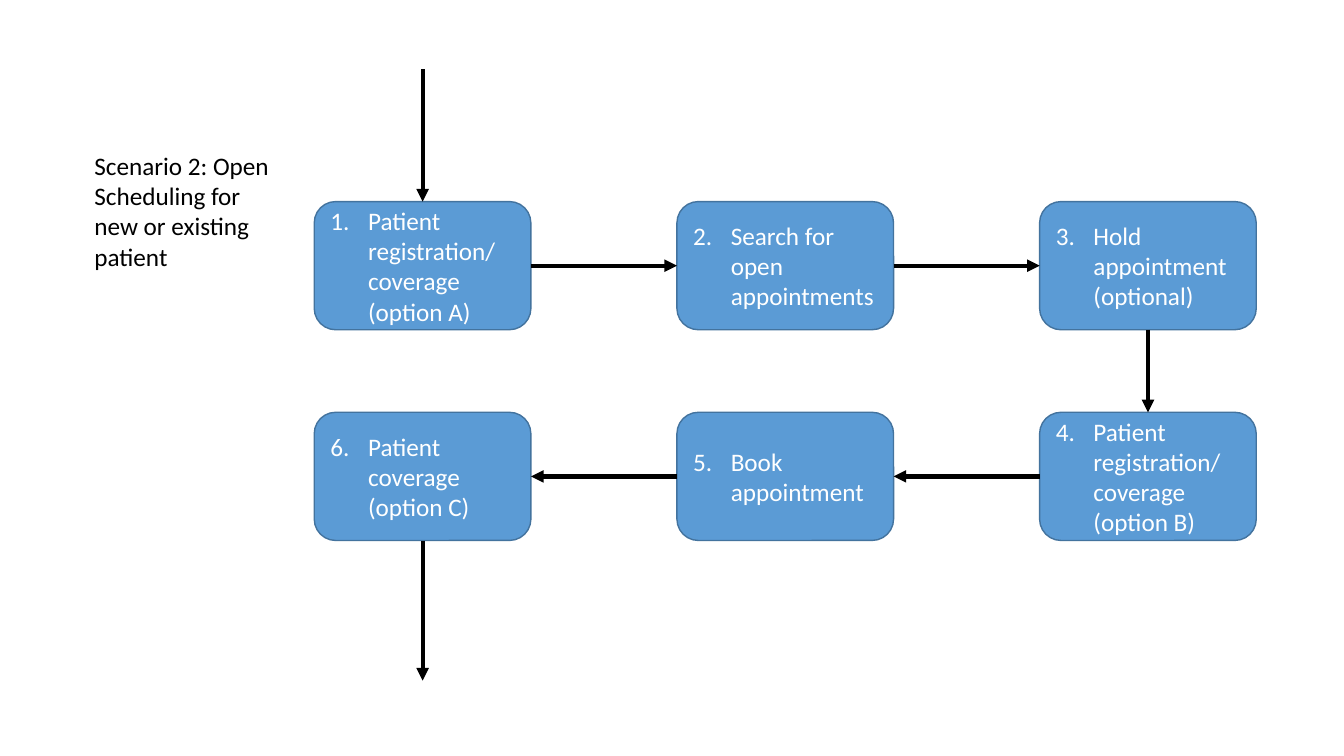
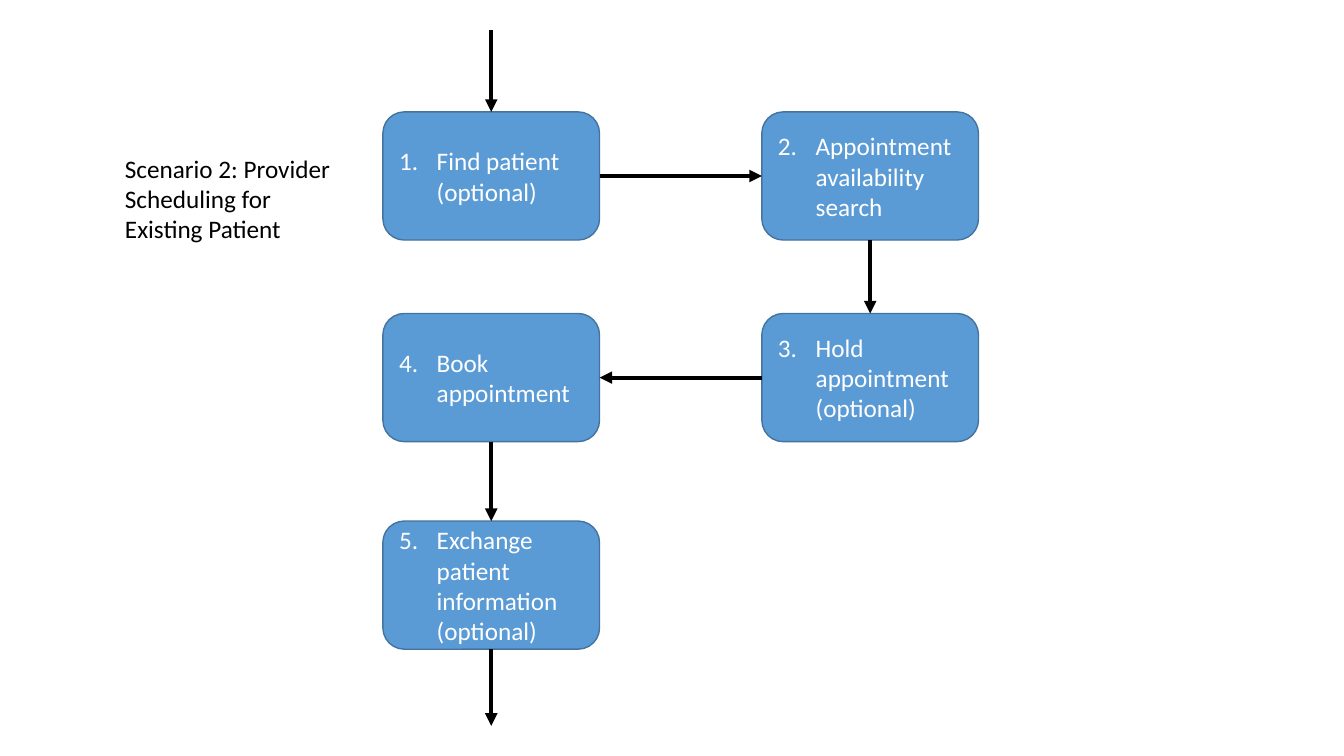
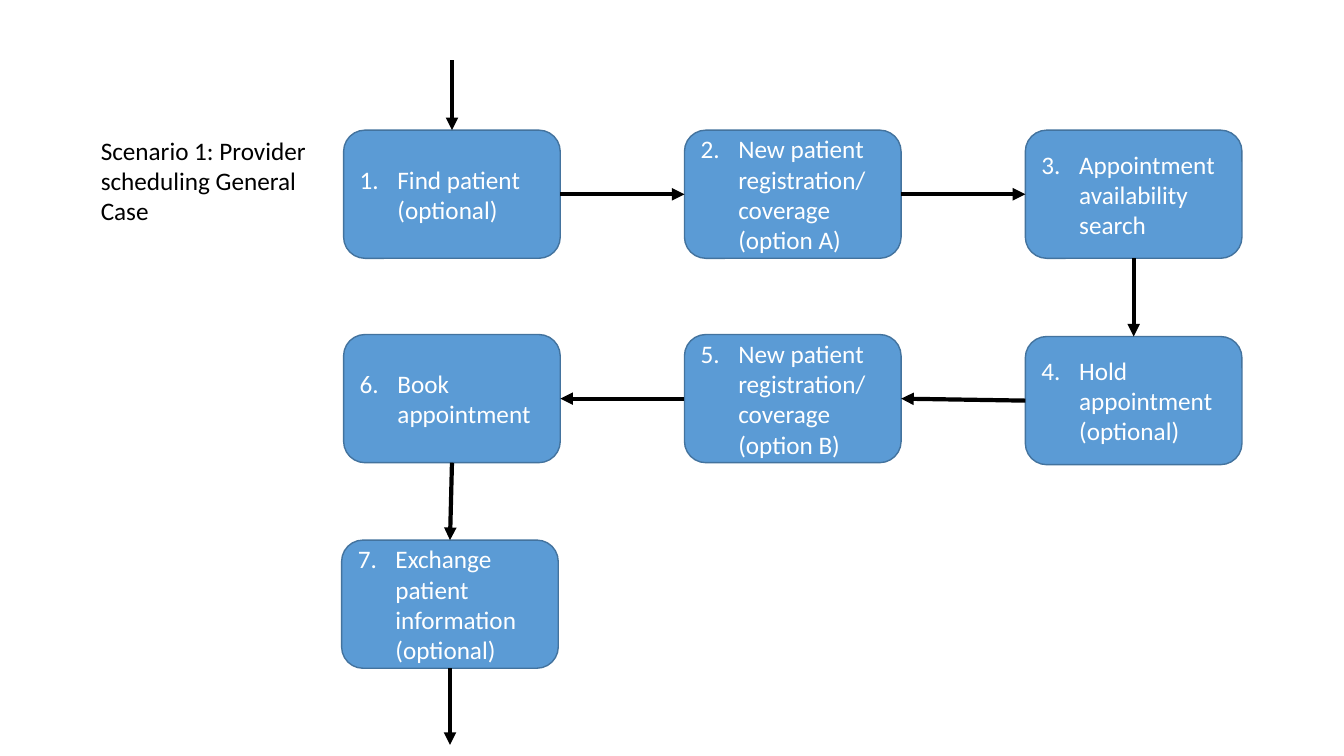
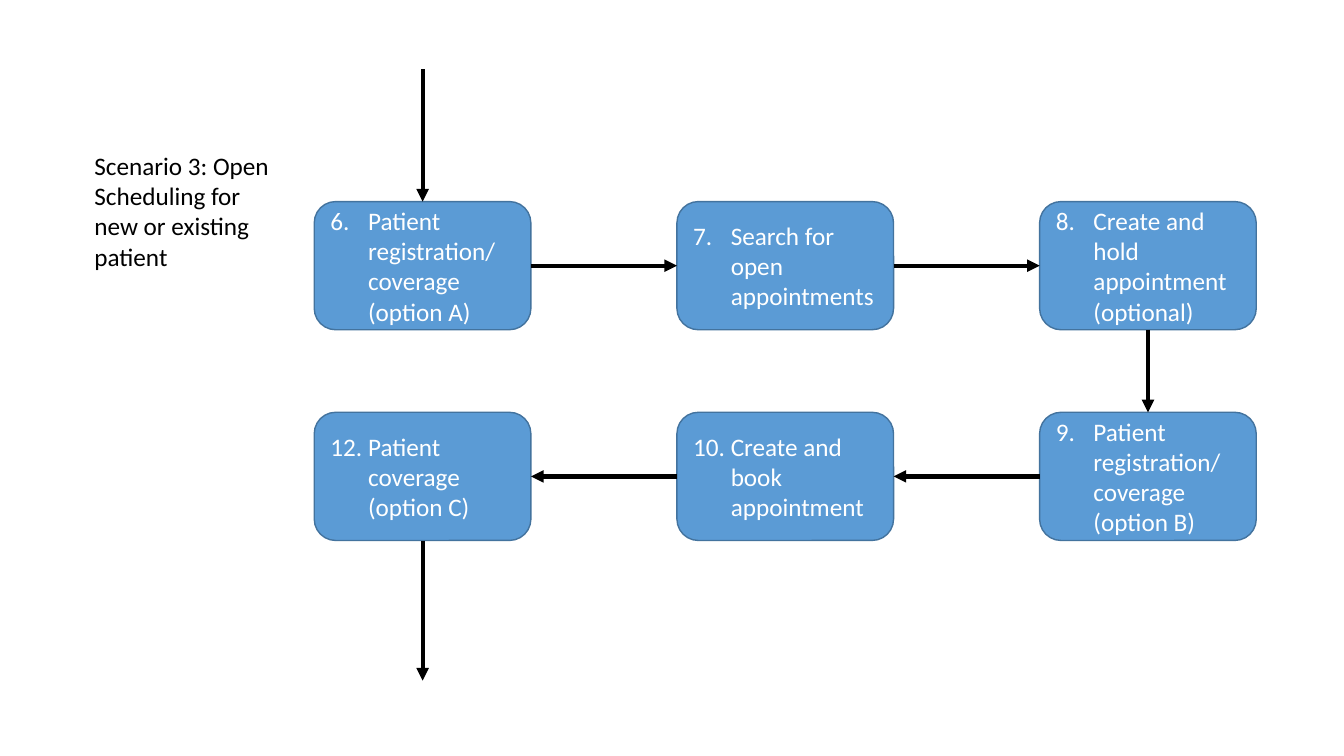
"""Build four scheduling flow diagrams."""
from dataclasses import dataclass
from itertools import pairwise

from lxml.etree import SubElement
from pptx import Presentation
from pptx.dml.color import RGBColor
from pptx.enum.shapes import MSO_CONNECTOR as Connector, MSO_SHAPE as Shape
from pptx.enum.text import MSO_ANCHOR as Anchor, MSO_AUTO_SIZE as AutoSize, PP_ALIGN as Align
from pptx.oxml.ns import qn
from pptx.util import Cm, Pt

FONT, TEXT_SIZE = "Calibri", 18
BOX_FILL, BOX_LINE, BOX_TEXT, INK = "5B9BD5", "43739E", "FFFFFF", "000000"
BOX_WIDTH, BOX_HEIGHT = 5.46, 3.23
NUMBER_INDENT = 0.95
TOP, LEFT, BOTTOM, RIGHT = range(4)


@dataclass(frozen=True)
class Step:
    """A numbered box at a grid cell, with an optional shift in centimetres."""
    number: int
    text: str
    column: int
    row: int
    shift_x: float = 0
    shift_y: float = 0


@dataclass(frozen=True)
class Grid:
    """Box positions and the outer ends of the entry and exit arrows."""
    left: float
    pitch: float
    row_tops: tuple[float, ...]
    entry_top: float
    exit_bottom: float


@dataclass(frozen=True)
class Caption:
    """The scenario name beside the flow."""
    text: str
    left: float
    top: float
    width: float
    height: float


@dataclass(frozen=True)
class Flow:
    """One slide: a caption and steps in walking order."""
    caption: Caption
    grid: Grid
    steps: tuple[Step, ...]


OPEN_GRID = Grid(7.92, 9.14, (5.08, 10.39), 1.75, 17.15)
EXISTING_GRID = Grid(9.65, 9.55, (2.82, 7.9, 13.13), 0.76, 18.29)
GENERAL_GRID = Grid(8.66, 8.59, (3.28, 8.43, 13.61), 1.52, 18.77)


def open_caption(scenario: int) -> Caption:
    """Name an open scheduling scenario."""
    text = f"Scenario {scenario}: Open Scheduling for new or existing patient"
    return Caption(text, 2.13, 3.66, 5.16, 3.33)


FLOWS = (
    Flow(open_caption(2), OPEN_GRID, (
        Step(1, "Patient registration/ coverage (option A)", 0, 0),
        Step(2, "Search for open appointments", 1, 0),
        Step(3, "Hold appointment (optional)", 2, 0),
        Step(4, "Patient registration/ coverage (option B)", 2, 1),
        Step(5, "Book appointment", 1, 1),
        Step(6, "Patient coverage (option C)", 0, 1),
    )),
    Flow(Caption("Scenario 2: Provider Scheduling for Existing Patient", 2.9, 3.73, 5.89, 2.57), EXISTING_GRID, (
        Step(1, "Find patient (optional)", 0, 0),
        Step(2, "Appointment availability search", 1, 0),
        Step(3, "Hold appointment (optional)", 1, 1),
        Step(4, "Book appointment", 0, 1),
        Step(5, "Exchange patient information (optional)", 0, 2),
    )),
    Flow(Caption("Scenario 1: Provider scheduling General Case", 2.29, 3.28, 5.97, 2.57), GENERAL_GRID, (
        Step(1, "Find patient (optional)", 0, 0),
        Step(2, "New patient registration/ coverage (option A)", 1, 0),
        Step(3, "Appointment availability search", 2, 0),
        Step(4, "Hold appointment (optional)", 2, 1, shift_y=0.05),
        Step(5, "New patient registration/ coverage (option B)", 1, 1),
        Step(6, "Book appointment", 0, 1),
        Step(7, "Exchange patient information (optional)", 0, 2, shift_x=-0.05),
    )),
    Flow(open_caption(3), OPEN_GRID, (
        Step(6, "Patient registration/ coverage (option A)", 0, 0),
        Step(7, "Search for open appointments", 1, 0),
        Step(8, "Create and hold appointment (optional)", 2, 0),
        Step(9, "Patient registration/ coverage (option B)", 2, 1),
        Step(10, "Create and book appointment", 1, 1),
        Step(12, "Patient coverage (option C)", 0, 1),
    )),
)


def color(value: str) -> RGBColor:
    """Turn a hex string into a colour."""
    return RGBColor.from_string(value)


def write(shape, text: str, text_color: str):
    """Put left-aligned, wrapping text in a shape and return its paragraph."""
    frame = shape.text_frame
    frame.text = text
    frame.word_wrap = True
    paragraph = frame.paragraphs[0]
    paragraph.alignment = Align.LEFT
    font = paragraph.runs[0].font
    font.name, font.size = FONT, Pt(TEXT_SIZE)
    font.color.rgb = color(text_color)
    return paragraph


def add_caption(slide, caption: Caption) -> None:
    """Add the scenario name."""
    box = slide.shapes.add_textbox(Cm(caption.left), Cm(caption.top), Cm(caption.width), Cm(caption.height))
    write(box, caption.text, INK)
    box.text_frame.auto_size = AutoSize.SHAPE_TO_FIT_TEXT


def add_step(slide, grid: Grid, step: Step):
    """Add a numbered step box."""
    left = grid.left + step.column * grid.pitch + step.shift_x
    top = grid.row_tops[step.row] + step.shift_y
    box = slide.shapes.add_shape(Shape.ROUNDED_RECTANGLE, Cm(left), Cm(top), Cm(BOX_WIDTH), Cm(BOX_HEIGHT))
    box.shadow.inherit = False
    box.fill.solid()
    box.fill.fore_color.rgb = color(BOX_FILL)
    box.line.color.rgb = color(BOX_LINE)
    box.line.width = Pt(1)
    box.text_frame.vertical_anchor = Anchor.MIDDLE
    properties = write(box, step.text, BOX_TEXT)._p.get_or_add_pPr()
    properties.set("marL", str(Cm(NUMBER_INDENT)))
    properties.set("indent", str(-Cm(NUMBER_INDENT)))
    SubElement(properties, qn("a:buAutoNum"), type="arabicPeriod", startAt=str(step.number))
    return box


def add_arrow(slide, start_x: int = 0, start_y: int = 0, end_x: int = 0, end_y: int = 0):
    """Add a black arrow."""
    arrow = slide.shapes.add_connector(Connector.STRAIGHT, start_x, start_y, end_x, end_y)
    arrow.line.color.rgb = color(INK)
    arrow.line.width = Pt(3)
    SubElement(arrow.line._get_or_add_ln(), qn("a:tailEnd"), type="triangle")
    SubElement(arrow._element.spPr, qn("a:effectLst"))
    return arrow


def joining_sides(start: Step, end: Step) -> tuple[int, int]:
    """Choose the sides that an arrow joins."""
    if start.row != end.row:
        return BOTTOM, TOP
    return (RIGHT, LEFT) if end.column > start.column else (LEFT, RIGHT)


def add_flow(presentation, flow: Flow) -> None:
    """Add a slide with its steps and arrows."""
    slide = presentation.slides.add_slide(presentation.slide_layouts[6])
    add_caption(slide, flow.caption)
    boxes = [add_step(slide, flow.grid, step) for step in flow.steps]
    for (start, start_box), (end, end_box) in pairwise(zip(flow.steps, boxes)):
        start_side, end_side = joining_sides(start, end)
        arrow = add_arrow(slide)
        arrow.begin_connect(start_box, start_side)
        arrow.end_connect(end_box, end_side)
    first, last = boxes[0], boxes[-1]
    first_center, last_center = (box.left + box.width // 2 for box in (first, last))
    entry = add_arrow(slide, first_center, Cm(flow.grid.entry_top), first_center, first.top)
    entry.end_connect(first, TOP)
    leaving = add_arrow(slide, last_center, last.top + last.height, last_center, Cm(flow.grid.exit_bottom))
    leaving.begin_connect(last, BOTTOM)


def main() -> None:
    """Build and save the presentation."""
    presentation = Presentation()
    presentation.slide_width, presentation.slide_height = Cm(33.87), Cm(19.05)
    for flow in FLOWS:
        add_flow(presentation, flow)
    presentation.save("out.pptx")


if __name__ == "__main__":
    main()
